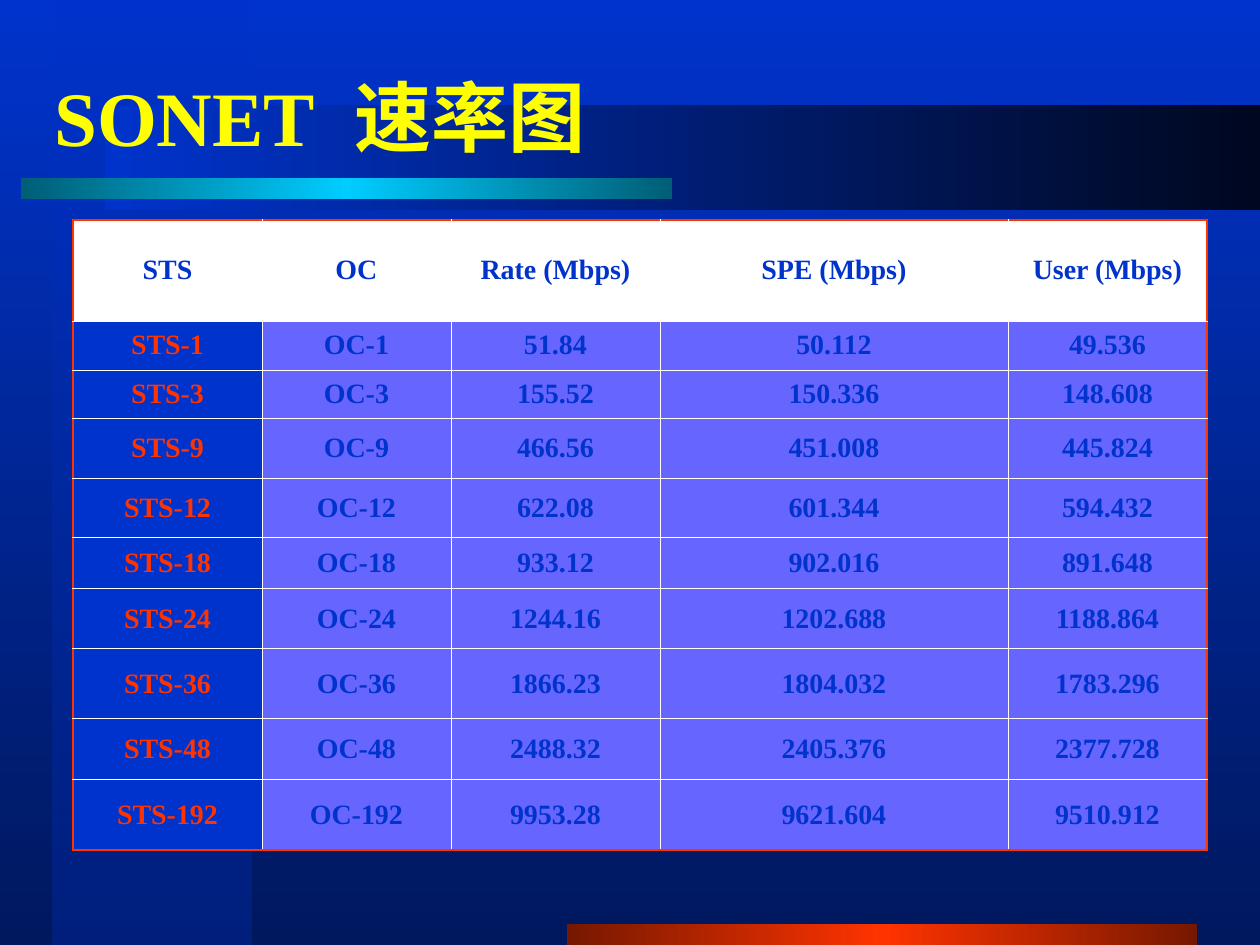
import lxml.etree
import pptx
import pptx.dml.color
import pptx.enum.shapes
import pptx.enum.text
import pptx.oxml.ns
import pptx.util

PX = pptx.util.Inches(1) // 126
qn = pptx.oxml.ns.qn

THEME = {
    "font": "Times New Roman",
    "title_size": 44,
    "table_size": 16,
    "title": "FFFF01",
    "blue": "0033CC",
    "red": "FF3300",
    "white": "FFFFFF",
    "violet": "6666FF",
    "thin": 0.45,
    "thick": 1.47,
}
FONT = {"name": THEME["font"], "bold": True}


def fill_gradient(fill, element, stops, angle):
    """Stops are (percent, colour, opacity percent)."""
    fill.gradient()
    fill.gradient_angle = angle
    stop_list = next(element.iter(qn("a:gsLst")))
    for stop in list(stop_list):
        stop_list.remove(stop)
    for position, colour, opacity in stops:
        stop = lxml.etree.SubElement(stop_list, qn("a:gs"), pos=str(position * 1000))
        stop_colour = lxml.etree.SubElement(stop, qn("a:srgbClr"), val=colour)
        if opacity < 100:
            lxml.etree.SubElement(stop_colour, qn("a:alpha"), val=str(opacity * 1000))


def style_font(font, size, colour):
    for name, value in {**FONT, "size": pptx.util.Pt(size)}.items():
        setattr(font, name, value)
    font.color.rgb = pptx.dml.color.RGBColor.from_string(colour)


presentation = pptx.Presentation()
presentation.slide_width = 1260 * PX
presentation.slide_height = 945 * PX
slide = presentation.slides.add_slide(presentation.slide_layouts[6])

# Background
DOWN, ACROSS = 270, 0
fill_gradient(slide.background.fill, slide.element,
              [(0, THEME["blue"], 100), (100, "00185E", 100)], DOWN)

# Decorative bars
bars = [
    ((53, 0, 199, 945), [(0, THEME["blue"], 50), (100, "00207E", 100)], DOWN),
    ((567, 924, 630, 21),
     [(0, "761800", 100), (50, THEME["red"], 100), (100, "761800", 100)], ACROSS),
    ((105, 105, 1155, 105), [(0, THEME["blue"], 100), (100, "00081F", 100)], ACROSS),
    ((21, 178, 651, 21),
     [(0, "005E76", 100), (50, "00CCFF", 100), (100, "005E76", 100)], ACROSS),
]
for box, stops, angle in bars:
    shape = slide.shapes.add_shape(pptx.enum.shapes.MSO_SHAPE.RECTANGLE,
                                   *(length * PX for length in box))
    shape.shadow.inherit = False
    shape.line.fill.background()
    fill_gradient(shape.fill, shape.element, stops, angle)

# Title, with a widened space between the two scripts
title = slide.shapes.add_textbox(*(length * PX for length in (42, 53, 1071, 126)))
title.text_frame.word_wrap = True
title.text_frame.vertical_anchor = pptx.enum.text.MSO_ANCHOR.MIDDLE
paragraph = title.text_frame.paragraphs[0]
for text in ("SONET", " ", "速率图"):
    run = paragraph.add_run()
    run.text = text
    style_font(run.font, THEME["title_size"], THEME["title"])
    if text == " ":
        run.font._element.set("spc", "1100")

# Rate table
rows = [
    ("STS", "OC", "Rate (Mbps)", "SPE (Mbps)", "User (Mbps)"),
    ("STS-1", "OC-1", "51.84", "50.112", "49.536"),
    ("STS-3", "OC-3", "155.52", "150.336", "148.608"),
    ("STS-9", "OC-9", "466.56", "451.008", "445.824"),
    ("STS-12", "OC-12", "622.08", "601.344", "594.432"),
    ("STS-18", "OC-18", "933.12", "902.016", "891.648"),
    ("STS-24", "OC-24", "1244.16", "1202.688", "1188.864"),
    ("STS-36", "OC-36", "1866.23", "1804.032", "1783.296"),
    ("STS-48", "OC-48", "2488.32", "2405.376", "2377.728"),
    ("STS-192", "OC-192", "9953.28", "9621.604", "9510.912"),
]
column_widths = [189, 189, 209, 348, 199]
row_heights = [101, 49, 48, 60, 60, 51, 60, 70, 61, 70]
table = slide.shapes.add_table(len(rows), len(column_widths), 73 * PX, 220 * PX,
                               sum(column_widths) * PX, sum(row_heights) * PX).table
for column, width in zip(table.columns, column_widths):
    column.width = width * PX
for row, height in zip(table.rows, row_heights):
    row.height = height * PX

last_row, last_column = len(rows) - 1, len(column_widths) - 1
for row_index, values in enumerate(rows):
    for column_index, value in enumerate(values):
        cell = table.cell(row_index, column_index)
        if row_index == 0:
            fill_colour, text_colour = THEME["white"], THEME["blue"]
        elif column_index == 0:
            fill_colour, text_colour = THEME["blue"], THEME["red"]
        else:
            fill_colour, text_colour = THEME["violet"], THEME["blue"]

        # Borders precede the fill in the cell properties
        outer_edges = {
            "a:lnL": column_index == 0,
            "a:lnR": column_index == last_column,
            "a:lnT": row_index == 0,
            "a:lnB": row_index == last_row,
        }
        properties = cell._tc.get_or_add_tcPr()
        for edge, is_outer in outer_edges.items():
            width = THEME["thick"] if is_outer else THEME["thin"]
            line = lxml.etree.SubElement(properties, qn(edge), w=str(pptx.util.Pt(width)))
            line_fill = lxml.etree.SubElement(line, qn("a:solidFill"))
            lxml.etree.SubElement(line_fill, qn("a:srgbClr"),
                                  val=THEME["red" if is_outer else "white"])
        cell.fill.solid()
        cell.fill.fore_color.rgb = pptx.dml.color.RGBColor.from_string(fill_colour)

        cell.vertical_anchor = pptx.enum.text.MSO_ANCHOR.MIDDLE
        paragraph = cell.text_frame.paragraphs[0]
        paragraph.alignment = pptx.enum.text.PP_ALIGN.CENTER
        run = paragraph.add_run()
        run.text = value
        style_font(run.font, THEME["table_size"], text_colour)

presentation.save("out.pptx")
